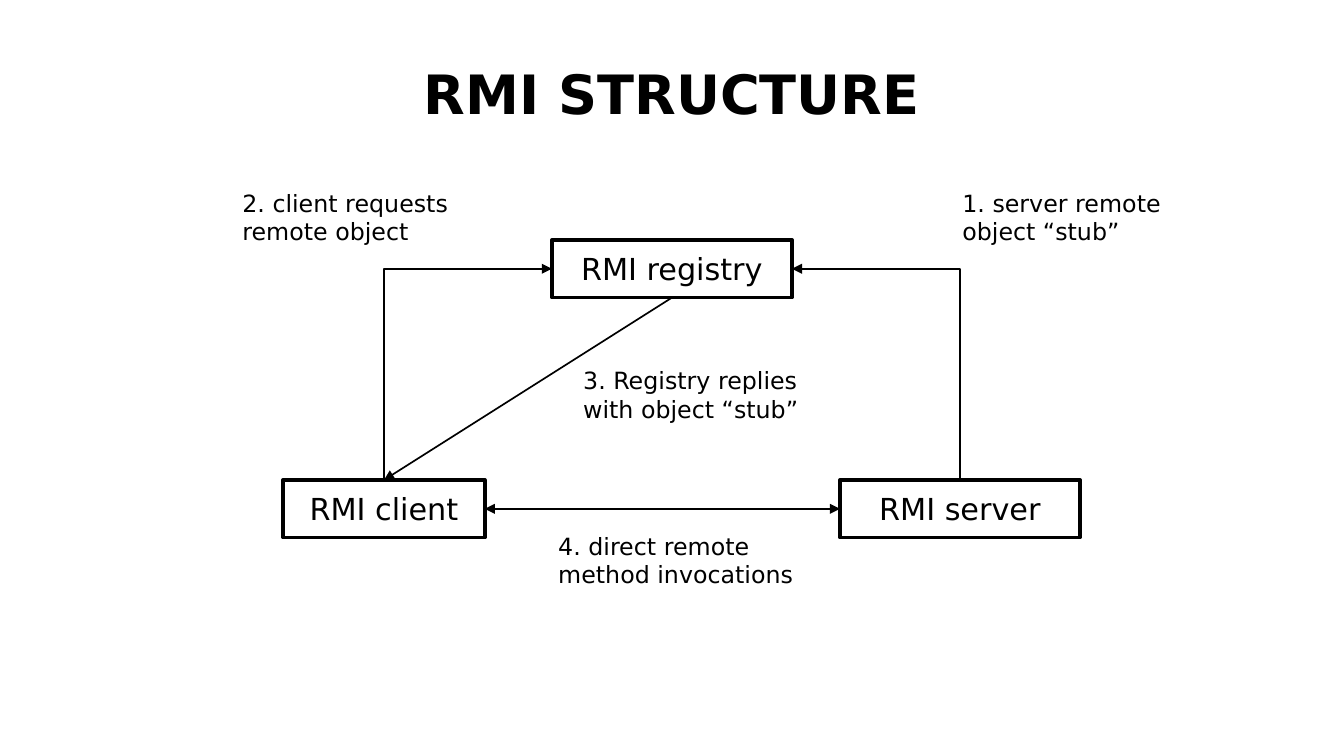
from dataclasses import dataclass

from lxml import etree
from pptx import Presentation
from pptx.dml.color import RGBColor
from pptx.enum.shapes import MSO_CONNECTOR, MSO_SHAPE
from pptx.enum.text import MSO_ANCHOR, PP_ALIGN
from pptx.oxml.ns import qn
from pptx.util import Cm, Pt

RECTANGLE = MSO_SHAPE.RECTANGLE
STRAIGHT, ELBOW = MSO_CONNECTOR.STRAIGHT, MSO_CONNECTOR.ELBOW
LEFT, CENTER = PP_ALIGN.LEFT, PP_ALIGN.CENTER
TOP_ANCHOR, MIDDLE_ANCHOR = MSO_ANCHOR.TOP, MSO_ANCHOR.MIDDLE
TITLE_ONLY = 5

# Connection sites of a rectangle
TOP_SITE, LEFT_SITE, BOTTOM_SITE, RIGHT_SITE = range(4)


@dataclass(frozen=True)
class Theme:
    font: str = "DejaVu Sans"
    ink: RGBColor = RGBColor(0, 0, 0)
    paper: RGBColor = RGBColor(255, 255, 255)
    title_size: float = 32
    box_size: float = 17.9
    label_size: float = 14
    box_line: float = 2.3
    arrow_line: float = 1


class Diagram:
    """Draws the elements of one slide in one theme."""

    def __init__(self, slide, theme):
        self.slide = slide
        self.theme = theme

    def set_text(self, shape, text, size, align, anchor, margins, wrap=True, bold=False):
        frame = shape.text_frame
        frame.text = text
        frame.word_wrap = wrap
        frame.vertical_anchor = anchor
        frame.margin_left = frame.margin_right = Cm(margins[0])
        frame.margin_top = frame.margin_bottom = Cm(margins[1])
        paragraph = frame.paragraphs[0]
        paragraph.alignment = align
        font = paragraph.runs[0].font
        font.name = self.theme.font
        font.size = Pt(size)
        font.bold = bold
        font.color.rgb = self.theme.ink

    def title(self, text, left, top, width, height):
        shape = self.slide.shapes.title
        shape.left, shape.top = Cm(left), Cm(top)
        shape.width, shape.height = Cm(width), Cm(height)
        self.set_text(shape, text, self.theme.title_size, CENTER, MIDDLE_ANCHOR,
                      (0, 0), bold=True)

    def box(self, text, left, top, width, height=1.2):
        shape = self.slide.shapes.add_shape(
            RECTANGLE, Cm(left), Cm(top), Cm(width), Cm(height))
        shape.shadow.inherit = False
        shape.fill.solid()
        shape.fill.fore_color.rgb = self.theme.paper
        shape.line.color.rgb = self.theme.ink
        shape.line.width = Pt(self.theme.box_line)
        self.set_text(shape, text, self.theme.box_size, CENTER, MIDDLE_ANCHOR,
                      (0.28, 0.15), wrap=False)
        return shape

    def label(self, text, left, top, width=5.4, height=1.6):
        shape = self.slide.shapes.add_textbox(
            Cm(left), Cm(top), Cm(width), Cm(height))
        self.set_text(shape, text, self.theme.label_size, LEFT, TOP_ANCHOR,
                      (0.25, 0.13))

    def arrow(self, start, start_site, end, end_site, kind=STRAIGHT, heads=("tailEnd",)):
        """Link two boxes; headEnd marks the start and tailEnd the end."""
        connector = self.slide.shapes.add_connector(kind, 0, 0, 0, 0)
        connector.begin_connect(start, start_site)
        connector.end_connect(end, end_site)
        connector.line.color.rgb = self.theme.ink
        connector.line.width = Pt(self.theme.arrow_line)
        properties = connector._element.spPr
        if kind == ELBOW:  # a single corner
            properties.find(qn("a:prstGeom")).set("prst", "bentConnector2")
        line = properties.find(qn("a:ln"))
        for head in heads:
            etree.SubElement(line, qn(f"a:{head}"), type="triangle")
        etree.SubElement(properties, qn("a:effectLst"))


def main():
    presentation = Presentation()
    presentation.slide_width, presentation.slide_height = Cm(28), Cm(15.75)
    slide = presentation.slides.add_slide(presentation.slide_layouts[TITLE_ONLY])
    diagram = Diagram(slide, Theme())

    diagram.title("RMI STRUCTURE", 1.4, 0.63, 25.2, 2.62)

    client = diagram.box("RMI client", 5.9, 10, 4.2)
    registry = diagram.box("RMI registry", 11.5, 5, 5)
    server = diagram.box("RMI server", 17.5, 10, 5)

    diagram.arrow(registry, LEFT_SITE, client, TOP_SITE, ELBOW, ("headEnd",))
    diagram.arrow(registry, BOTTOM_SITE, client, TOP_SITE)
    diagram.arrow(registry, RIGHT_SITE, server, TOP_SITE, ELBOW, ("headEnd",))
    diagram.arrow(client, RIGHT_SITE, server, LEFT_SITE, heads=("headEnd", "tailEnd"))

    for text, left, top in (
        ("1. server remote object “stub”", 19.8, 3.8),
        ("2. client requests remote object", 4.8, 3.8),
        ("3. Registry replies with object “stub”", 11.9, 7.5),
        ("4. direct remote method invocations", 11.38, 10.95),
    ):
        diagram.label(text, left, top)

    presentation.save("out.pptx")


if __name__ == "__main__":
    main()
